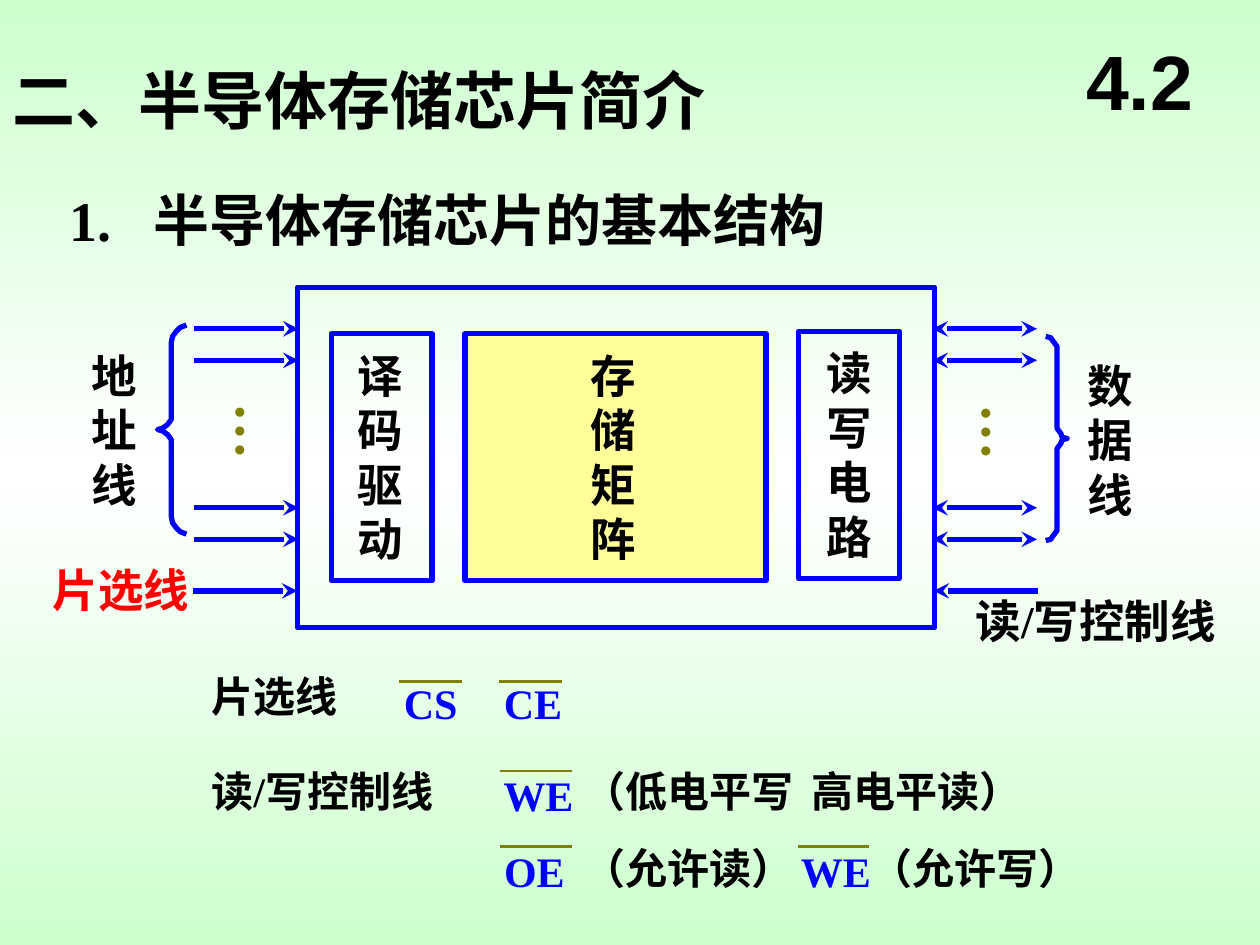
from copy import deepcopy
from dataclasses import dataclass

from pptx import Presentation
from pptx.dml.color import RGBColor
from pptx.enum.shapes import MSO_CONNECTOR, MSO_SHAPE
from pptx.enum.text import MSO_ANCHOR, MSO_AUTO_SIZE, PP_ALIGN
from pptx.oxml.ns import qn
from pptx.oxml.xmlchemy import OxmlElement
from pptx.util import Pt

PX = 9144  # EMU per px, 100 px to the inch


@dataclass(frozen=True)
class Theme:
    ink: str = "000000"
    blue: str = "0000FF"
    red: str = "FF0000"
    olive: str = "808000"
    yellow: str = "FFFF99"
    gradient: tuple = ("CDFFCE", "FFFFFF", "CDFFCE")
    font: str = "Times New Roman"
    number_font: str = "Arial"
    number: int = 44
    title: int = 36
    heading: int = 32
    label: int = 26
    note: int = 24
    stroke: float = 3
    bar: float = 1.5


T = Theme()


def rgb(value):
    return RGBColor.from_string(value)


def set_background(slide):
    fill = slide.background.fill
    fill.gradient()
    fill.gradient_angle = 90
    stops = slide.element.find(".//" + qn("a:gsLst"))
    stops.insert(1, deepcopy(stops[0]))
    for i, (stop, color) in enumerate(zip(fill.gradient_stops, T.gradient)):
        stop.position = i / 2
        stop.color.rgb = rgb(color)


def add_tab(p, position):
    tabs = OxmlElement("a:tabLst")
    tab = OxmlElement("a:tab")
    tab.set("pos", str(position * PX))
    tab.set("algn", "l")
    tabs.append(tab)
    p._p.get_or_add_pPr().append(tabs)


def add_text(slide, box, lines, size, color=T.ink, font=T.font,
             align=PP_ALIGN.LEFT, tab=None):
    """Add bold text; each item of lines becomes a paragraph."""
    sp = slide.shapes.add_textbox(*(v * PX for v in box))
    tf = sp.text_frame
    tf.word_wrap = True
    for i, line in enumerate(lines):
        p = tf.paragraphs[0] if i == 0 else tf.add_paragraph()
        p.alignment = align
        if tab:
            add_tab(p, tab)
        r = p.add_run()
        r.text = line
        r.font.name = font
        r.font.size = Pt(size)
        r.font.bold = True
        r.font.color.rgb = rgb(color)
    return tf


def add_dots(slide, box):
    tf = add_text(slide, box, ["…"], T.heading, T.olive, align=PP_ALIGN.RIGHT)
    tf.margin_left = tf.margin_right = 5 * PX
    tf.margin_top = tf.margin_bottom = 10 * PX
    tf._txBody.bodyPr.set("vert", "eaVert")


def style_line(line, color, width):
    line.color.rgb = rgb(color)
    line.width = Pt(width)


def add_block(slide, box, fill=None):
    sp = slide.shapes.add_shape(MSO_SHAPE.RECTANGLE, *(v * PX for v in box))
    sp.shadow.inherit = False
    if fill:
        sp.fill.solid()
        sp.fill.fore_color.rgb = rgb(fill)
    else:
        sp.fill.background()
    style_line(sp.line, T.blue, T.stroke)


def add_line(slide, x1, x2, y, color=T.blue, width=T.stroke, ends=()):
    """Add a level line; ends names the ends ("head", "tail") with an arrow."""
    cn = slide.shapes.add_connector(
        MSO_CONNECTOR.STRAIGHT, x1 * PX, y * PX, x2 * PX, y * PX)
    style_line(cn.line, color, width)
    for end in ends:
        arrow = OxmlElement(f"a:{end}End")
        arrow.set("type", "stealth")
        cn.line._get_or_add_ln().append(arrow)
    cn._element.spPr.append(OxmlElement("a:effectLst"))


def add_brace(slide, upper):
    """Draw a brace from its upper half, which ends at the tip."""
    tip_y = upper[-1][1]
    lower = [(x, 2 * tip_y - y) for x, y in reversed(upper[:-1])]
    points = upper + lower
    builder = slide.shapes.build_freeform(*points[0], scale=PX)
    builder.add_line_segments(points[1:], close=False)
    sp = builder.convert_to_shape()
    sp.shadow.inherit = False
    sp.fill.background()
    style_line(sp.line, T.blue, T.stroke)


def add_signal(slide, name, right, y, bar_x, bar_y, bar_width):
    """Add an active-low signal name, ending at right, with its overbar."""
    width = 90
    add_text(slide, (right - width, y, width, 50), [name], T.note, T.blue,
             align=PP_ALIGN.RIGHT)
    add_line(slide, bar_x, bar_x + bar_width, bar_y, T.olive, T.bar)


def add_headings(slide):
    add_text(slide, (0, 44, 570, 70), ["二、半导体存储芯片简介"], T.title,
             align=PP_ALIGN.RIGHT)
    add_text(slide, (45, 142, 660, 64), ["1.\t半导体存储芯片的基本结构"],
             T.heading, tab=67)
    tf = add_text(slide, (842, 17, 125, 92), ["4.2"], T.number,
                  font=T.number_font, align=PP_ALIGN.CENTER)
    tf.auto_size = MSO_AUTO_SIZE.NONE
    tf.vertical_anchor = MSO_ANCHOR.MIDDLE


def add_chip(slide):
    add_block(slide, (236, 228, 506, 270))
    for box, fill in (((263, 265, 80, 196), None),
                      ((369, 265, 239, 196), T.yellow),
                      ((634, 263, 80, 196), None)):
        add_block(slide, box, fill)
    for box, label in (((274, 271, 58, 184), "译码驱动"),
                       ((459, 271, 59, 184), "存储矩阵"),
                       ((646, 269, 58, 184), "读写电路"),
                       ((63, 271, 58, 140), "地址线"),
                       ((853, 279, 58, 140), "数据线")):
        add_text(slide, box, label, T.label)


def add_buses(slide):
    for y in (261, 286, 403, 428):
        add_line(slide, 154, 237, y, ends=("tail",))
        add_line(slide, 823, 740, y, ends=("head", "tail"))
    add_line(slide, 153, 236, 469, ends=("tail",))
    add_line(slide, 824, 741, 469, ends=("tail",))
    add_brace(slide, [(148, 258), (143, 260), (140, 263), (137, 267),
                      (136, 272), (136, 333), (133, 337), (129, 340),
                      (125, 341)])
    add_brace(slide, [(830, 267), (834, 268), (836, 271), (839, 275),
                      (839, 281), (839, 340), (842, 344), (843, 347),
                      (847, 348)])
    add_dots(slide, (164, 310, 73, 55))
    add_dots(slide, (756, 311, 73, 55))
    add_text(slide, (12, 441, 148, 54), ["片选线"], T.label, T.red,
             align=PP_ALIGN.RIGHT)
    add_text(slide, (727, 466, 248, 54), ["读/写控制线"], T.label,
             align=PP_ALIGN.RIGHT)


def add_signal_notes(slide):
    for box, note in (((158, 527, 303, 50), "片选线"),
                      ((158, 603, 276, 50), "读/写控制线"),
                      ((453, 603, 461, 50), "（低电平写\t高电平读）"),
                      ((453, 664, 244, 50), "（允许读）"),
                      ((681, 664, 244, 50), "（允许写）")):
        add_text(slide, box, [note], T.note, tab=181)
    for signal in (("CS", 373, 533, 317, 541, 50),
                   ("CE", 456, 533, 396, 541, 50),
                   ("WE", 465, 606, 397, 612, 57),
                   ("OE", 458, 666, 397, 672, 57),
                   ("WE", 701, 666, 633, 672, 57)):
        add_signal(slide, *signal)


def main():
    prs = Presentation()
    prs.slide_width, prs.slide_height = 1000 * PX, 750 * PX
    slide = prs.slides.add_slide(prs.slide_layouts[6])
    set_background(slide)
    add_headings(slide)
    add_chip(slide)
    add_buses(slide)
    add_signal_notes(slide)
    prs.save("out.pptx")


if __name__ == "__main__":
    main()
